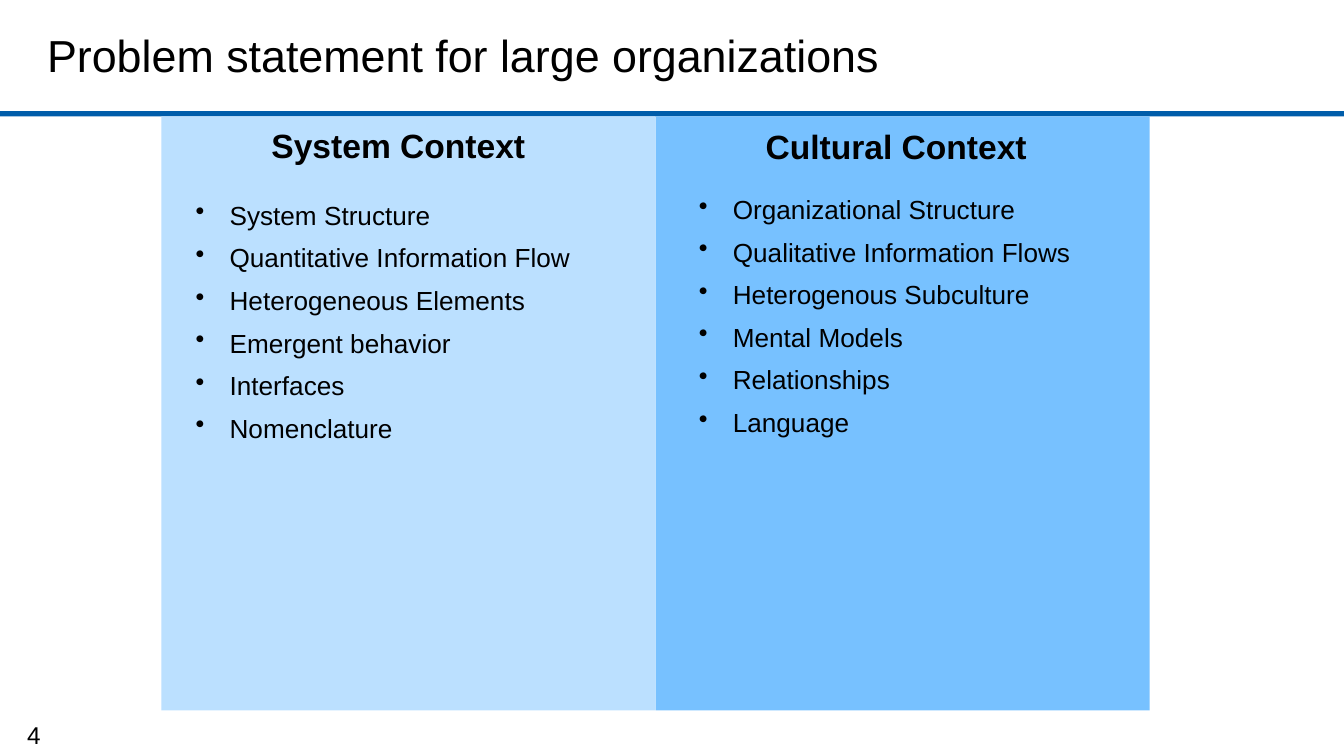
"""Build a slide comparing the system and cultural contexts of large organizations."""
import lxml.etree
import pptx
import pptx.dml.color
import pptx.enum.shapes
import pptx.enum.text
import pptx.oxml.ns
import pptx.util

Cm = pptx.util.Cm
Pt = pptx.util.Pt
ALIGN = pptx.enum.text.PP_ALIGN
ANCHOR = pptx.enum.text.MSO_ANCHOR

COLORS = {"rule": "005DAA", "system": "BBE0FF", "cultural": "77C1FF", "text": "000000"}
TITLE = "Problem statement for large organizations"
PAGE_NUMBER = "4"
COLUMNS = [
    {
        "heading": "System Context",
        "color": "system",
        "heading_top": 2.24,
        "list_position": (3.45, 3.64),
        "items": [
            "System Structure",
            "Quantitative Information Flow",
            "Heterogeneous Elements",
            "Emergent behavior",
            "Interfaces",
            "Nomenclature",
        ],
    },
    {
        "heading": "Cultural Context",
        "color": "cultural",
        "heading_top": 2.26,
        "list_position": (12.96, 3.53),
        "items": [
            "Organizational Structure",
            "Qualitative Information Flows",
            "Heterogenous Subculture",
            "Mental Models",
            "Relationships",
            "Language",
        ],
    },
]
SLIDE_WIDTH, SLIDE_HEIGHT = 25.4, 14.29
PANEL_LEFT, PANEL_TOP, PANEL_WIDTH, PANEL_HEIGHT = 3.05, 2.2, 9.34, 11.23
RULE_HEIGHT = 0.1
HEADING_OFFSET = 1.83


def add_panel(slide, box, color):
    """Add a borderless filled rectangle."""
    shape = slide.shapes.add_shape(
        pptx.enum.shapes.MSO_SHAPE.RECTANGLE, *[Cm(length) for length in box]
    )
    shape.shadow.inherit = False
    shape.fill.solid()
    shape.fill.fore_color.rgb = pptx.dml.color.RGBColor.from_string(COLORS[color])
    shape.line.fill.background()


def add_bullet(paragraph):
    """Give a paragraph a round bullet with a hanging indent."""
    properties = paragraph._p.get_or_add_pPr()
    properties.set("marL", str(Cm(0.64)))
    properties.set("indent", str(-Cm(0.64)))
    bullet = lxml.etree.SubElement(properties, pptx.oxml.ns.qn("a:buChar"))
    bullet.set("char", "•")


def add_text(slide, box, text, size, bold=False, wrap=True, bullets=False,
             align=ALIGN.LEFT, anchor=ANCHOR.TOP):
    """Add a text box with one paragraph for each line of text."""
    shape = slide.shapes.add_textbox(*[Cm(length) for length in box])
    frame = shape.text_frame
    frame.word_wrap = wrap
    frame.vertical_anchor = anchor
    frame.text = text
    for index, paragraph in enumerate(frame.paragraphs):
        if bullets:
            add_bullet(paragraph)
            if index:
                paragraph.space_before = Pt(6)
        paragraph.alignment = align
        paragraph.font.name = "Arial"
        paragraph.font.size = Pt(size)
        paragraph.font.bold = bold
        paragraph.font.color.rgb = pptx.dml.color.RGBColor.from_string(COLORS["text"])


def main():
    """Lay out the slide and save it."""
    presentation = pptx.Presentation()
    presentation.slide_width = Cm(SLIDE_WIDTH)
    presentation.slide_height = Cm(SLIDE_HEIGHT)
    slide = presentation.slides.add_slide(presentation.slide_layouts[6])

    add_panel(slide, (0, PANEL_TOP - RULE_HEIGHT, SLIDE_WIDTH, RULE_HEIGHT), "rule")
    add_text(slide, (0.64, 0.15, 18.62, 1.75), TITLE, 24, anchor=ANCHOR.MIDDLE)

    for index, column in enumerate(COLUMNS):
        left = PANEL_LEFT + index * PANEL_WIDTH
        add_panel(slide, (left, PANEL_TOP, PANEL_WIDTH, PANEL_HEIGHT), column["color"])
        add_text(slide, (left + HEADING_OFFSET, column["heading_top"], 5.8, 1.02),
                 column["heading"], 18, bold=True)
        add_text(slide, (*column["list_position"], 8.2, 9.42),
                 "\n".join(column["items"]), 14, bullets=True)

    add_text(slide, (0.08, 13.49, 1.12, 0.84), PAGE_NUMBER, 13, wrap=False,
             align=ALIGN.CENTER)
    presentation.save("out.pptx")


if __name__ == "__main__":
    main()
